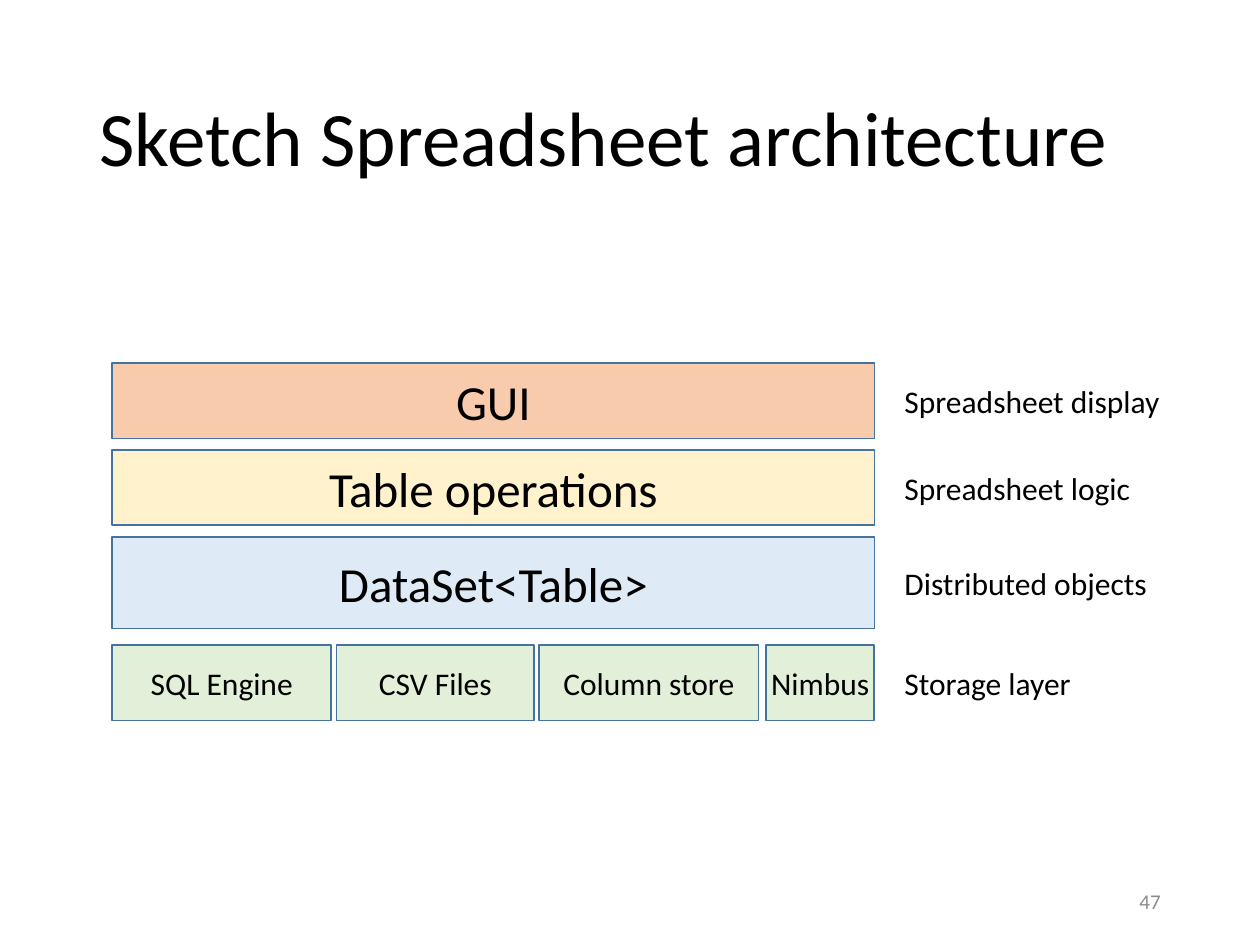
from pptx import Presentation
from pptx.dml.color import RGBColor
from pptx.enum.shapes import MSO_SHAPE as Shape
from pptx.enum.text import MSO_ANCHOR as Anchor, MSO_AUTO_SIZE as AutoSize, PP_ALIGN as Align
from pptx.util import Inches, Pt

BLACK, GRAY, OUTLINE, GREEN = "000000", "8C8C8C", "43739E", "E2F0D9"
STACK_LEFT, STACK_WIDTH = 0.89, 6.05
LABEL_LEFT, LABEL_HEIGHT = 7.08, 0.4
STORAGE_TOP, STORAGE_HEIGHT = 5.12, 0.6

LAYERS = [
    ("GUI", 2.88, 0.6, "F8CBAD"),
    ("Table operations", 3.57, 0.6, "FFF2CC"),
    ("DataSet<Table>", 4.26, 0.73, "DEEBF7"),
]
STORES = [
    ("SQL Engine", 0.89, 1.74, True),
    ("CSV Files", 2.67, 1.57, True),
    ("Column store", 4.28, 1.74, False),
    ("Nimbus", 6.08, 0.86, False),
]
LABELS = [
    ("Spreadsheet display", 2.25),
    ("Spreadsheet logic", 2.02),
    ("Distributed objects", 2.15),
    ("Storage layer", 1.54),
]


def color(value):
    return RGBColor.from_string(value)


def write(frame, text, size, tone=BLACK, align=Align.LEFT, **frame_format):
    for name, value in frame_format.items():
        setattr(frame, name, value)
    frame.text = text
    paragraph = frame.paragraphs[0]
    paragraph.alignment = align
    for name, value in {"name": "Calibri", "size": Pt(size)}.items():
        setattr(paragraph.font, name, value)
    paragraph.font.color.rgb = color(tone)
    return paragraph


def add_title(slide, text):
    title = slide.shapes.title
    place = {"left": 0.69, "top": 0.4, "width": 8.62, "height": 1.45}
    for name, value in place.items():
        setattr(title, name, Inches(value))
    heading = write(title.text_frame, text, 44, word_wrap=True,
                    vertical_anchor=Anchor.MIDDLE)
    heading.line_spacing = 0.9


def add_block(slide, text, box, fill, size, wrap=True):
    block = slide.shapes.add_shape(Shape.RECTANGLE, *map(Inches, box))
    block.shadow.inherit = False
    block.fill.solid()
    block.fill.fore_color.rgb = color(fill)
    block.line.color.rgb = color(OUTLINE)
    block.line.width = Pt(1)
    write(block.text_frame, text, size, align=Align.CENTER,
          word_wrap=wrap, vertical_anchor=Anchor.MIDDLE)


def add_label(slide, text, width, row_top, row_height):
    top = row_top + (row_height - LABEL_HEIGHT) / 2
    label = slide.shapes.add_textbox(*map(Inches, (LABEL_LEFT, top, width, LABEL_HEIGHT)))
    write(label.text_frame, text, 18, word_wrap=False,
          auto_size=AutoSize.SHAPE_TO_FIT_TEXT)


def add_page_number(slide, number):
    corner = slide.shapes.add_textbox(*map(Inches, (7.06, 6.95, 2.25, 0.4)))
    write(corner.text_frame, number, 12, GRAY, Align.RIGHT,
          word_wrap=True, vertical_anchor=Anchor.MIDDLE)


def main():
    deck = Presentation()
    deck.slide_width, deck.slide_height = Inches(10), Inches(7.5)
    slide = deck.slides.add_slide(deck.slide_layouts[5])
    add_title(slide, "Sketch Spreadsheet architecture")
    for text, top, height, fill in LAYERS:
        add_block(slide, text, (STACK_LEFT, top, STACK_WIDTH, height), fill, 28)
    for text, left, width, wrap in STORES:
        add_block(slide, text, (left, STORAGE_TOP, width, STORAGE_HEIGHT), GREEN, 18, wrap)
    rows = [(top, height) for _, top, height, _ in LAYERS] + [(STORAGE_TOP, STORAGE_HEIGHT)]
    for (text, width), row in zip(LABELS, rows):
        add_label(slide, text, width, *row)
    add_page_number(slide, "47")
    deck.save("out.pptx")


if __name__ == "__main__":
    main()
